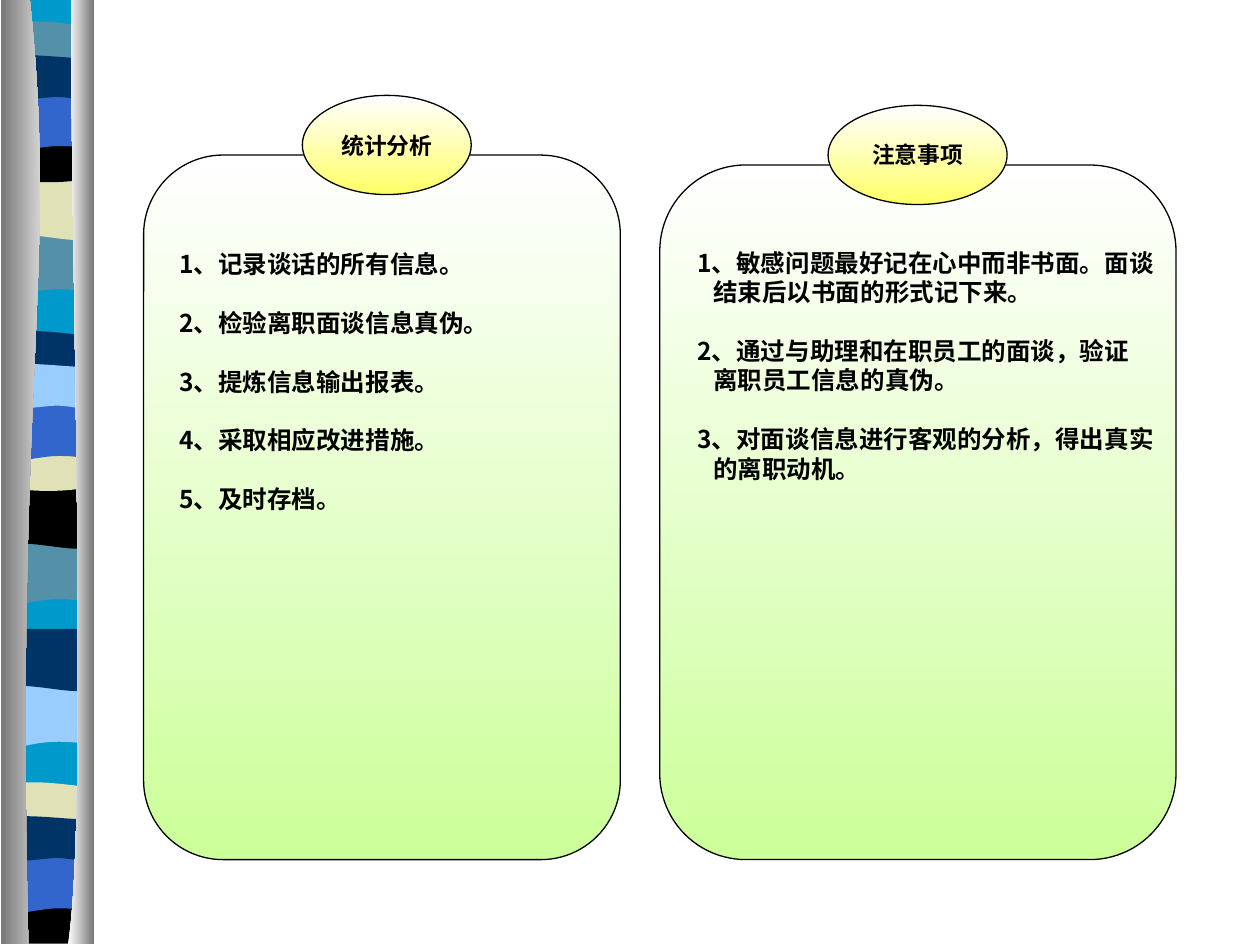
from dataclasses import dataclass
from typing import NamedTuple

from lxml import etree
from pptx import Presentation
from pptx.dml.color import RGBColor
from pptx.enum.shapes import MSO_SHAPE
from pptx.enum.text import MSO_ANCHOR, PP_ALIGN
from pptx.oxml.ns import qn
from pptx.util import Pt

ROUND = MSO_SHAPE.ROUNDED_RECTANGLE
OVAL = MSO_SHAPE.OVAL
TOP, MIDDLE = MSO_ANCHOR.TOP, MSO_ANCHOR.MIDDLE
LEFT, CENTER = PP_ALIGN.LEFT, PP_ALIGN.CENTER


@dataclass(frozen=True)
class Theme:
    white: str = "FFFFFF"
    black: str = "000000"
    gray: str = "767676"
    green: str = "CCFF99"
    yellow: str = "FFFF66"
    cyan: str = "0099CC"
    teal: str = "5490A8"
    sand: str = "E1E1B7"
    blue: str = "3366CC"
    navy: str = "003366"
    sky: str = "99CCFF"
    body_font: str = "Noto Sans CJK SC"
    label_font: str = "Times New Roman"
    body_size: float = 14
    label_size: float = 13
    leading: float = 16.8
    hang: float = 9.1
    outline: float = 0.75


THEME = Theme()


class Box(NamedTuple):
    x: float
    y: float
    w: float
    h: float


class Band(NamedTuple):
    form: str
    top: float
    color: str


class Panel(NamedTuple):
    frame: Box
    badge: Box
    inset: float
    title: str
    items: list[str]


FORMS = {
    "flow": [(50, 0), (50, 33.8), (15.1, 28.1, 7.9, 39.6, 0, 33.8), (0, 0)],
    "dip": [(50, 0), (50, 33.8), (42, 39.6, 15, 29.5, 0, 33.8), (0, 0)],
    "crest": [(50, 3.6), (50, 20.9), (42, 23.8, 8, 23.8, 0, 20.9), (0, 3.6),
              (2.9, 0, 10.8, 0.7, 18.7, 0.7), (27.4, 0.7, 43.2, 2.9, 50, 3.6)],
    "bowl": [(50, 0), (50, 23), (42, 27.4, 8, 27.4, 0, 23), (0, 0),
             (30.2, 3.6, 39.6, 0, 50, 0)],
    "arch": [(50, 0), (50, 33.8), (42, 30.2, 39, 30.2, 30.2, 30.2),
             (22.3, 30.2, 7.2, 33.8, 0, 33.8), (0, 0)],
    "wave": [(50, 3.6), (50, 25.9), (46.8, 29.5, 39, 25.9, 30.2, 25.9),
             (22.3, 25.9, 5, 29.5, 0, 25.9), (0, 3.6),
             (6.5, 0, 33.8, 3.6, 41.8, 3.6), (50.4, 3.6, 48.2, 3.6, 50, 3.6)],
    "foot": [(50, 0), (50, 26.6), (0, 26.6), (0, 0),
             (30.2, 3.6, 39.6, 0, 50, 0)],
    "strip": [(50, 0), (50, 538.5), (0, 538.5), (0, 0)],
}
BAND_X = 2.6
BANDS = [
    Band("strip", -0.5, THEME.cyan),
    Band("flow", 133.2, THEME.teal),
    Band("dip", 101.5, THEME.sand),
    Band("crest", 11.5, THEME.teal),
    Band("bowl", 77.8, THEME.black),
    Band("arch", 53.3, THEME.blue),
    Band("wave", 29.5, THEME.navy),
    Band("flow", 310.3, THEME.teal),
    Band("dip", 277.9, THEME.black),
    Band("crest", 188.6, THEME.navy),
    Band("bowl", 254.2, THEME.sand),
    Band("arch", 230.4, THEME.blue),
    Band("wave", 205.9, THEME.sky),
    Band("flow", 391.7, THEME.sky),
    Band("dip", 359.3, THEME.navy),
    Band("crest", 446.4, THEME.sand),
    Band("foot", 512.6, THEME.black),
    Band("arch", 488.9, THEME.blue),
    Band("wave", 464.4, THEME.navy),
]
LEFT_POST = [(17, -0.5), (33.5, 155.5, 8.3, 213.1, 16.2, 539.3),
             (0.3, 539.3), (0.3, -0.5)]
RIGHT_POST = [(41, -0.5), (38.9, 90, 51.5, 465.1, 38.9, 539.3),
              (54, 539.3), (54, 0)]

PANELS = [
    Panel(Box(82.1, 88.6, 272.4, 402.6), Box(172.8, 54.5, 96.5, 56.7), 40.3,
          "统计分析",
          ["1、记录谈话的所有信息。", "2、检验离职面谈信息真伪。",
           "3、提炼信息输出报表。", "4、采取相应改进措施。", "5、及时存档。"]),
    Panel(Box(377, 94.3, 295, 396.9), Box(473.2, 60.2, 102.3, 56.7), 32.8,
          "注意事项",
          ["1、敏感问题最好记在心中而非书面。面谈\v结束后以书面的形式记下来。",
           "2、通过与助理和在职员工的面谈，验证\v离职员工信息的真伪。",
           "3、对面谈信息进行客观的分析，得出真实\v的离职动机。"]),
]


def bend(shape, form: list[tuple]) -> None:
    lines = iter(list(shape._element.iter(qn("a:lnTo"))))
    for part in form[1:]:
        line = next(lines)
        if len(part) == 2:
            continue
        curve = etree.Element(qn("a:cubicBezTo"))
        line.addprevious(curve)
        for node in (line, next(lines), next(lines)):
            curve.append(node[0])
            node.getparent().remove(node)


def draw_form(shapes, form: list[tuple], x: float = 0, y: float = 0):
    spots = [(Pt(x + part[i]), Pt(y + part[i + 1]))
             for part in form for i in range(0, len(part), 2)]
    pen = shapes.build_freeform(*spots[0])
    pen.add_line_segments(spots[1:], close=True)
    shape = pen.convert_to_shape()
    bend(shape, form)
    shape.shadow.inherit = False
    shape.line.fill.background()
    return shape


def shade(shape, first: str, last: str, angle: float) -> None:
    shape.fill.gradient()
    shape.fill.gradient_angle = angle
    for stop, color, place in zip(shape.fill.gradient_stops, (first, last), (0, 1)):
        stop.color.rgb = RGBColor.from_string(color)
        stop.position = place


def draw_band(shapes, band: Band) -> None:
    shape = draw_form(shapes, FORMS[band.form], BAND_X, band.top)
    shape.fill.solid()
    shape.fill.fore_color.rgb = RGBColor.from_string(band.color)


def draw_box(shapes, kind, box: Box, tint: str):
    shape = shapes.add_shape(kind, *map(Pt, box))
    shape.shadow.inherit = False
    shade(shape, THEME.white, tint, 270)
    shape.line.color.rgb = RGBColor.from_string(THEME.black)
    shape.line.width = Pt(THEME.outline)
    shape.text_frame.word_wrap = False
    return shape


def style(para, name: str, size: float, align) -> None:
    para.alignment = align
    para.font.name = name
    para.font.size = Pt(size)
    para.font.bold = True
    para.font.color.rgb = RGBColor.from_string(THEME.black)


def draw_panel(shapes, panel: Panel) -> None:
    frame = draw_box(shapes, ROUND, panel.frame, THEME.green).text_frame
    frame.vertical_anchor = TOP
    frame.margin_top = Pt(panel.inset)
    for index, item in enumerate(panel.items):
        para = frame.add_paragraph() if index else frame.paragraphs[0]
        para.text = item
        para.line_spacing = Pt(THEME.leading)
        if index:
            para.space_before = Pt(THEME.leading)
        style(para, THEME.body_font, THEME.body_size, LEFT)
        props = para._p.get_or_add_pPr()
        props.set("marL", str(Pt(THEME.hang)))
        props.set("indent", str(-Pt(THEME.hang)))

    badge = draw_box(shapes, OVAL, panel.badge, THEME.yellow).text_frame
    badge.vertical_anchor = MIDDLE
    badge.text = panel.title
    style(badge.paragraphs[0], THEME.label_font, THEME.label_size, CENTER)


def main() -> None:
    deck = Presentation()
    deck.slide_width, deck.slide_height = Pt(720), Pt(540)
    shapes = deck.slides.add_slide(deck.slide_layouts[6]).shapes
    for band in BANDS:
        draw_band(shapes, band)
    shade(draw_form(shapes, LEFT_POST), THEME.gray, THEME.white, 0)
    shade(draw_form(shapes, RIGHT_POST), THEME.white, THEME.gray, 0)
    for panel in PANELS:
        draw_panel(shapes, panel)
    deck.save("out.pptx")


if __name__ == "__main__":
    main()
